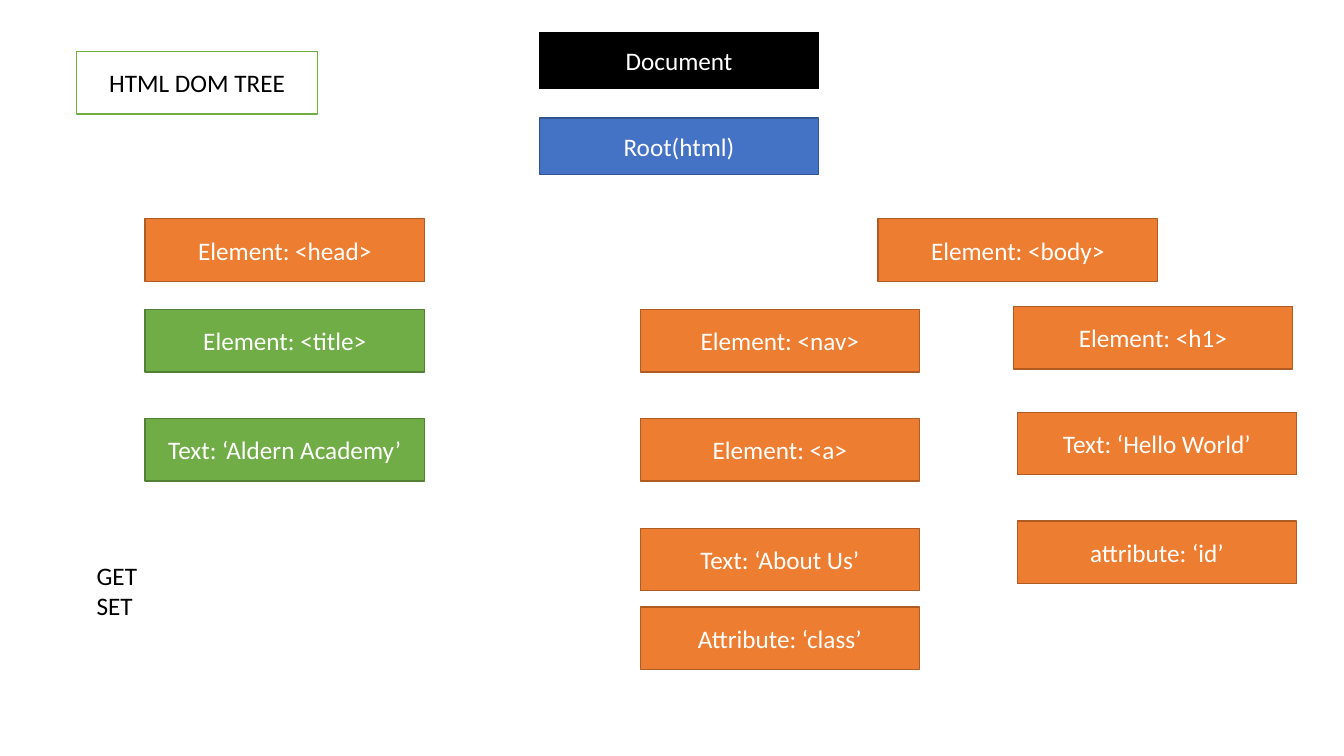
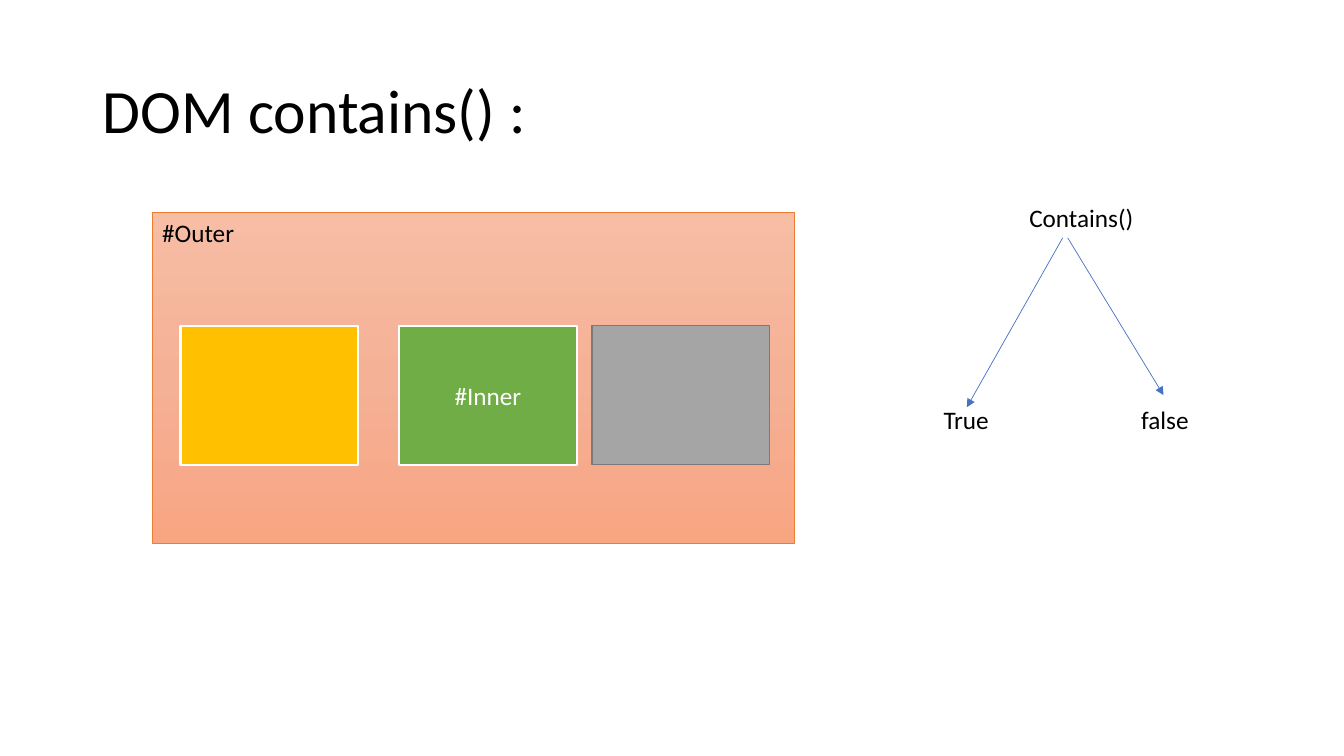
from copy import deepcopy
from dataclasses import dataclass
from typing import Any

from pptx import Presentation
from pptx import util as u
from pptx.dml.color import RGBColor
from pptx.enum import shapes as kinds, text as t
from pptx.oxml.ns import qn
from pptx.oxml.xmlchemy import OxmlElement

FONT = "Calibri"
BODY_SIZE, TITLE_SIZE = 18, 44
BLACK, WHITE = "000000", "FFFFFF"
BLUE, DARK_BLUE = "4472C4", "325491"
ORANGE, DARK_ORANGE = "ED7D31", "AF5C24"
GREEN, DARK_GREEN = "70AD47", "538035"
GOLD, GRAY, DARK_GRAY = "FFC000", "A5A5A5", "7A7A7A"
OUTER_GRADIENT = ((0, "F7BDA5"), (0.5, "F5B196"), (1, "F8A582"))
PROCESS = kinds.MSO_SHAPE.FLOWCHART_PROCESS
RECTANGLE = kinds.MSO_SHAPE.RECTANGLE


@dataclass(frozen=True)
class Box:
    label: str
    left: float
    top: float
    width: float
    height: float
    fill: str
    line: str
    weight: float = 1
    ink: str = WHITE
    kind: Any = PROCESS


@dataclass(frozen=True)
class Label:
    words: str
    left: float
    top: float
    width: float
    height: float = 0.4


@dataclass(frozen=True)
class Arrow:
    start: tuple[float, float]
    end: tuple[float, float]


def rgb(code: str) -> RGBColor:
    return RGBColor.from_string(code)


def style_text(frame: Any, color: str, size: int = BODY_SIZE, align: Any = t.PP_ALIGN.LEFT) -> None:
    for paragraph in frame.paragraphs:
        paragraph.alignment = align
        for run in paragraph.runs:
            run.font.name = FONT
            run.font.size = u.Pt(size)
            run.font.color.rgb = rgb(color)


def draw_box(slide: Any, box: Box) -> Any:
    shape = slide.shapes.add_shape(
        box.kind, *map(u.Inches, (box.left, box.top, box.width, box.height)))
    shape.shadow.inherit = False
    shape.fill.solid()
    shape.fill.fore_color.rgb = rgb(box.fill)
    shape.line.color.rgb = rgb(box.line)
    shape.line.width = u.Pt(box.weight)
    if box.label:
        frame = shape.text_frame
        frame.text = box.label
        frame.vertical_anchor = t.MSO_ANCHOR.MIDDLE
        style_text(frame, box.ink, align=t.PP_ALIGN.CENTER)
    return shape


def draw_label(slide: Any, label: Label) -> None:
    frame = slide.shapes.add_textbox(
        *map(u.Inches, (label.left, label.top, label.width, label.height))).text_frame
    frame.text = label.words
    frame.word_wrap = False
    frame.auto_size = t.MSO_AUTO_SIZE.SHAPE_TO_FIT_TEXT
    style_text(frame, BLACK)


def draw_arrow(slide: Any, arrow: Arrow) -> None:
    connector = slide.shapes.add_connector(
        kinds.MSO_CONNECTOR.STRAIGHT, *map(u.Inches, arrow.start + arrow.end))
    connector.line.color.rgb = rgb(BLUE)
    connector.line.width = u.Pt(0.5)
    head = OxmlElement("a:tailEnd")
    head.set("type", "triangle")
    connector.line._get_or_add_ln().append(head)
    connector._element.spPr.append(OxmlElement("a:effectLst"))


def set_title(slide: Any, words: str) -> None:
    title = slide.shapes.title
    title.left, title.top, title.width, title.height = map(u.Inches, (0.92, 0.4, 11.5, 1.45))
    frame = title.text_frame
    frame.text = words
    frame.vertical_anchor = t.MSO_ANCHOR.MIDDLE
    frame.paragraphs[0].line_spacing = 0.9
    style_text(frame, BLACK, TITLE_SIZE)


def fill_gradient(shape: Any, stops: tuple[tuple[float, str], ...]) -> None:
    shape.fill.gradient()
    shape.fill.gradient_angle = 270
    stop_list = shape._element.spPr.find(qn("a:gradFill")).find(qn("a:gsLst"))
    while len(stop_list) < len(stops):
        stop_list.append(deepcopy(stop_list[0]))
    for stop, (position, color) in zip(shape.fill.gradient_stops, stops):
        stop.position = position
        stop.color.rgb = rgb(color)


def node(label: str, left: float, top: float, fill: str = ORANGE,
         line: str = DARK_ORANGE, height: float = 0.62) -> Box:
    return Box(label, left, top, 2.77, height, fill, line)


def build_tree(deck: Any) -> None:
    slide = deck.slides.add_slide(deck.slide_layouts[6])
    root_left, head_left, nav_left, heading_left = 5.35, 1.44, 6.35, 10.09
    nodes = (
        node("Document", root_left, 0.32, BLACK, BLACK, 0.56),
        node("Root(html)", root_left, 1.17, BLUE, DARK_BLUE, 0.56),
        node("Element: <head>", head_left, 2.17),
        node("Element: <body>", 8.71, 2.17),
        node("Element: <title>", head_left, 3.07, GREEN, DARK_GREEN),
        node("Text: ‘Aldern Academy’", head_left, 4.15, GREEN, DARK_GREEN),
        node("Element: <nav>", nav_left, 3.07),
        node("Element: <h1>", 10.05, 3.04),
        node("Element: <a>", nav_left, 4.15),
        node("Text: ‘About Us’", nav_left, 5.24),
        node("Attribute: ‘class’", nav_left, 6.02),
        node("Text: ‘Hello World’", heading_left, 4.09),
        node("attribute: ‘id’", heading_left, 5.17),
        Box("HTML DOM TREE", 0.76, 0.51, 2.39, 0.62, WHITE, GREEN, ink=BLACK, kind=RECTANGLE),
    )
    for tree_node in nodes:
        draw_box(slide, tree_node)
    draw_label(slide, Label("GET\nSET", 0.86, 5.51, 0.61, 0.71))


def build_contains(deck: Any) -> None:
    slide = deck.slides.add_slide(deck.slide_layouts[5])
    set_title(slide, "DOM contains() :")

    outer = draw_box(slide, Box("#Outer", 1.51, 2.11, 6.37, 3.28, ORANGE, ORANGE, 0.5,
                                BLACK, RECTANGLE))
    fill_gradient(outer, OUTER_GRADIENT)
    outer.text_frame.vertical_anchor = t.MSO_ANCHOR.TOP
    style_text(outer.text_frame, BLACK)

    for label, left, fill, line, weight in (
        ("", 1.79, GOLD, WHITE, 1.5),
        ("#Inner", 3.96, GREEN, WHITE, 1.5),
        ("", 5.87, GRAY, DARK_GRAY, 1),
    ):
        draw_box(slide, Box(label, left, 3.23, 1.76, 1.38, fill, line, weight, kind=RECTANGLE))

    for label in (
        Label("Contains()", 10.11, 1.96, 1.25),
        Label("True", 9.26, 3.96, 0.66),
        Label("false", 11.22, 3.96, 0.68),
    ):
        draw_label(slide, label)
    for arrow in (Arrow((10.54, 2.36), (9.59, 4.04)), Arrow((10.59, 2.36), (11.54, 3.92))):
        draw_arrow(slide, arrow)


def main() -> None:
    deck = Presentation()
    deck.slide_width, deck.slide_height = u.Inches(13.33), u.Inches(7.5)
    build_tree(deck)
    build_contains(deck)
    deck.save("out.pptx")


main()
